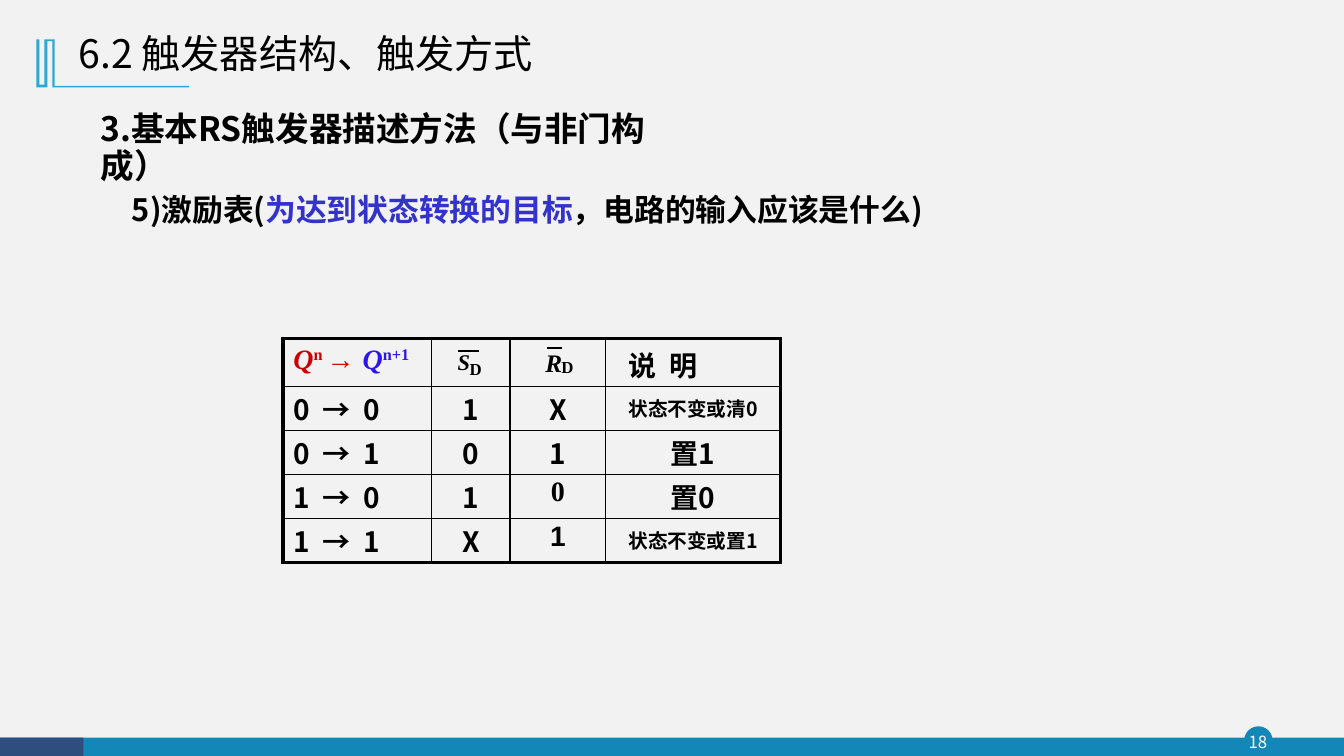
from lxml.etree import SubElement
from pptx import Presentation
from pptx.dml.color import RGBColor
from pptx.enum.shapes import MSO_CONNECTOR, MSO_SHAPE
from pptx.enum.text import MSO_ANCHOR, PP_ALIGN
from pptx.oxml.ns import qn
from pptx.util import Pt

BACKGROUND = RGBColor(0xF2, 0xF2, 0xF2)
BLACK = RGBColor(0, 0, 0)
WHITE = RGBColor(0xFF, 0xFF, 0xFF)
TEAL = RGBColor(0x13, 0x87, 0xB7)
NAVY = RGBColor(0x2E, 0x4E, 0x7E)
CYAN = RGBColor(0x28, 0xA9, 0xD6)
RED = RGBColor(0xCC, 0, 0)
VIOLET = RGBColor(0x2E, 0x14, 0xEE)
BLUE = RGBColor(0x33, 0x33, 0xCC)

SANS = "Noto Sans CJK SC"
SERIF = "Times New Roman"
ARIAL = "Arial"

COLUMN_WIDTHS = (106, 56, 68.5, 124.8)
HEADER_HEIGHT, ROW_HEIGHT = 34.3, 31.4
EXCITATION_ROWS = (
    ("0 → 0", "1", "X", "状态不变或清0"),
    ("0 → 1", "0", "1", "置1"),
    ("1 → 0", "1", "0", "置0"),
    ("1 → 1", "X", "1", "状态不变或置1"),
)
INPUT_FONTS = (SANS, SANS, SERIF, ARIAL)


def format_run(run, size, color=BLACK, font=SANS, bold=True, italic=False,
               baseline=0, spacing=0):
    run.font.size = Pt(size)
    run.font.bold = bold
    run.font.italic = italic
    run.font.color.rgb = color
    run.font.name = font
    properties = run.font._element
    SubElement(properties, qn("a:ea"), typeface=font)
    if baseline:
        properties.set("baseline", str(baseline * 1000))
    if spacing:
        properties.set("spc", str(round(spacing * 100)))


def add_text(slide, box, pieces, anchor=MSO_ANCHOR.TOP, inset=True, wrap=True,
             align=PP_ALIGN.LEFT, line_spacing=None):
    """Add a text box; pieces are (text, size, formatting) triples."""
    frame = slide.shapes.add_textbox(*map(Pt, box)).text_frame
    frame.word_wrap = wrap
    frame.vertical_anchor = anchor
    if not inset:
        frame.margin_left = frame.margin_right = 0
        frame.margin_top = frame.margin_bottom = 0
    paragraph = frame.paragraphs[0]
    paragraph.alignment = align
    paragraph.line_spacing = line_spacing
    for text, size, formatting in pieces:
        run = paragraph.add_run()
        run.text = text
        format_run(run, size, **formatting)


def add_block(slide, preset, box, color):
    shape = slide.shapes.add_shape(preset, *map(Pt, box))
    shape.shadow.inherit = False
    shape.fill.solid()
    shape.fill.fore_color.rgb = color
    shape.line.fill.background()


def add_footer(slide, left, top, width, height):
    add_block(slide, MSO_SHAPE.OVAL, (left + 888.7, top - 8.2, 20.4, 20.4), TEAL)
    add_block(slide, MSO_SHAPE.RECTANGLE, (left, top, width, height), TEAL)
    add_block(slide, MSO_SHAPE.RECTANGLE, (left, top, 59.7, height), NAVY)
    add_text(slide, (left + 887, top - 8, 23, 22),
             [("18", 12, {"color": WHITE, "bold": False})],
             MSO_ANCHOR.MIDDLE, inset=False, align=PP_ALIGN.CENTER)


def add_title(slide, left, top, width, height):
    outline = ((13, 0), (13, 33.3), (109, 33.3), (109, 34.3), (11.5, 34.3),
               (11.5, 1.4), (7.9, 1.4), (7.9, 34.3), (0, 34.3), (0, 0),
               (2.2, 0), (2.2, 32.4), (5.8, 32.4), (5.8, 0))
    points = [(Pt(left + x), Pt(top + 13 + y)) for x, y in outline]
    builder = slide.shapes.build_freeform(*points[0], scale=1.0)
    builder.add_line_segments(points[1:], close=True)
    ornament = builder.convert_to_shape()
    ornament.shadow.inherit = False
    ornament.fill.solid()
    ornament.fill.fore_color.rgb = CYAN
    ornament.line.fill.background()
    add_text(slide, (left + 23, top, width - 23, height),
             [("6.2 触发器结构、触发方式", 28, {"bold": False})],
             MSO_ANCHOR.MIDDLE, line_spacing=0.9)


def add_headings(slide, left, top):
    add_text(slide, (left, top, 445.7, 36),
             [("3.基本RS触发器描述方法（与非门构成）", 24, {})], line_spacing=0.9)
    add_text(slide, (left + 22.3, top + 55.4, 613.4, 34),
             [("5)激励表(", 22, {}),
              ("为达到状态转换的目标", 22, {"color": BLUE}),
              ("，电路的输入应该是什么)", 22, {})], MSO_ANCHOR.MIDDLE)


def set_borders(cell, widths):
    properties = cell._tc.get_or_add_tcPr()
    for position, (side, width) in enumerate(zip("LRTB", widths)):
        line = properties.makeelement(qn(f"a:ln{side}"), {"w": str(Pt(width))})
        fill = SubElement(line, qn("a:solidFill"))
        SubElement(fill, qn("a:srgbClr"), val=str(BLACK))
        properties.insert(position, line)


def fill_cell(cell, pieces, align=PP_ALIGN.LEFT, anchor=MSO_ANCHOR.TOP, line_spacing=None):
    cell.vertical_anchor = anchor
    paragraph = cell.text_frame.paragraphs[0]
    paragraph.alignment = align
    paragraph.line_spacing = line_spacing
    for text, size, formatting in pieces:
        run = paragraph.add_run()
        run.text = text
        format_run(run, size, **formatting)


def add_overlined_symbol(slide, left, top, letter, size, bar, subscript):
    """Draw a letter with a bar and a D; bar is (x, y, length), subscript (x, y)."""
    x, y, length = bar
    line = slide.shapes.add_connector(
        MSO_CONNECTOR.STRAIGHT, Pt(left + x), Pt(top + y), Pt(left + x + length), Pt(top + y))
    line.line.color.rgb = BLACK
    line.line.width = Pt(1.5)
    SubElement(line._element.spPr, qn("a:effectLst"))
    add_text(slide, (left + subscript[0], top + subscript[1], 9, 14.4),
             [("D", 12, {"font": SERIF})], inset=False, wrap=False)
    add_text(slide, (left, top, size * 0.67, size * 1.2),
             [(letter, size, {"font": SERIF, "italic": True})], inset=False, wrap=False)


def add_excitation_table(slide, left, top):
    row_count, column_count = len(EXCITATION_ROWS) + 1, len(COLUMN_WIDTHS)
    height = HEADER_HEIGHT + ROW_HEIGHT * len(EXCITATION_ROWS)
    table = slide.shapes.add_table(row_count, column_count, Pt(left), Pt(top),
                                   Pt(sum(COLUMN_WIDTHS)), Pt(height)).table
    table.first_row = table.horz_banding = False
    for column, width in zip(table.columns, COLUMN_WIDTHS):
        column.width = Pt(width)
    for index, row in enumerate(table.rows):
        row.height = Pt(ROW_HEIGHT if index else HEADER_HEIGHT)
        for position, cell in enumerate(row.cells):
            cell.fill.background()
            set_borders(cell, (3 if position == 0 else 1,
                               3 if position == column_count - 1 else 1,
                               2 if index == 0 else 1,
                               2 if index == row_count - 1 else 1))

    red = {"color": RED, "font": SERIF}
    violet = {"color": VIOLET, "font": SERIF}
    fill_cell(table.cell(0, 0), [
        ("Q", 20, {**red, "italic": True}), ("n ", 20, {**red, "baseline": 30}),
        ("→ ", 20, {**red, "font": ARIAL}),
        ("Q", 20, {**violet, "italic": True}), ("n+1", 20, {**violet, "baseline": 30})])
    note_header = table.cell(0, 3)
    note_header.margin_left = Pt(16.2)
    fill_cell(note_header, [("说 明", 20, {"spacing": 2.25})])

    for index, (values, font) in enumerate(zip(EXCITATION_ROWS, INPUT_FONTS), start=1):
        for position, value in enumerate(values):
            formatting = {"font": font if position == 2 else SANS,
                          "spacing": 0 if position else 2.25}
            fill_cell(table.cell(index, position),
                      [(value, 14 if len(value) > 5 else 20, formatting)],
                      PP_ALIGN.CENTER if position else PP_ALIGN.LEFT,
                      MSO_ANCHOR.TOP if position == 2 else MSO_ANCHOR.MIDDLE, 0.9)

    add_overlined_symbol(slide, left + 124.6, top + 6.5, "S", 16, (0, 2.1, 15), (8.6, 7.9))
    add_overlined_symbol(slide, left + 187.2, top + 6.5, "R", 18, (1.5, 0, 10.7), (11.5, 6.5))


def main():
    presentation = Presentation()
    presentation.slide_width, presentation.slide_height = Pt(960), Pt(540)
    slide = presentation.slides.add_slide(presentation.slide_layouts[6])
    slide.background.fill.solid()
    slide.background.fill.fore_color.rgb = BACKGROUND
    add_footer(slide, 0, 527, 960, 13.5)
    add_title(slide, 26, 15.1, 601, 49)
    add_headings(slide, 64.8, 77)
    add_excitation_table(slide, 202.3, 241.9)
    presentation.save("out.pptx")


if __name__ == "__main__":
    main()
